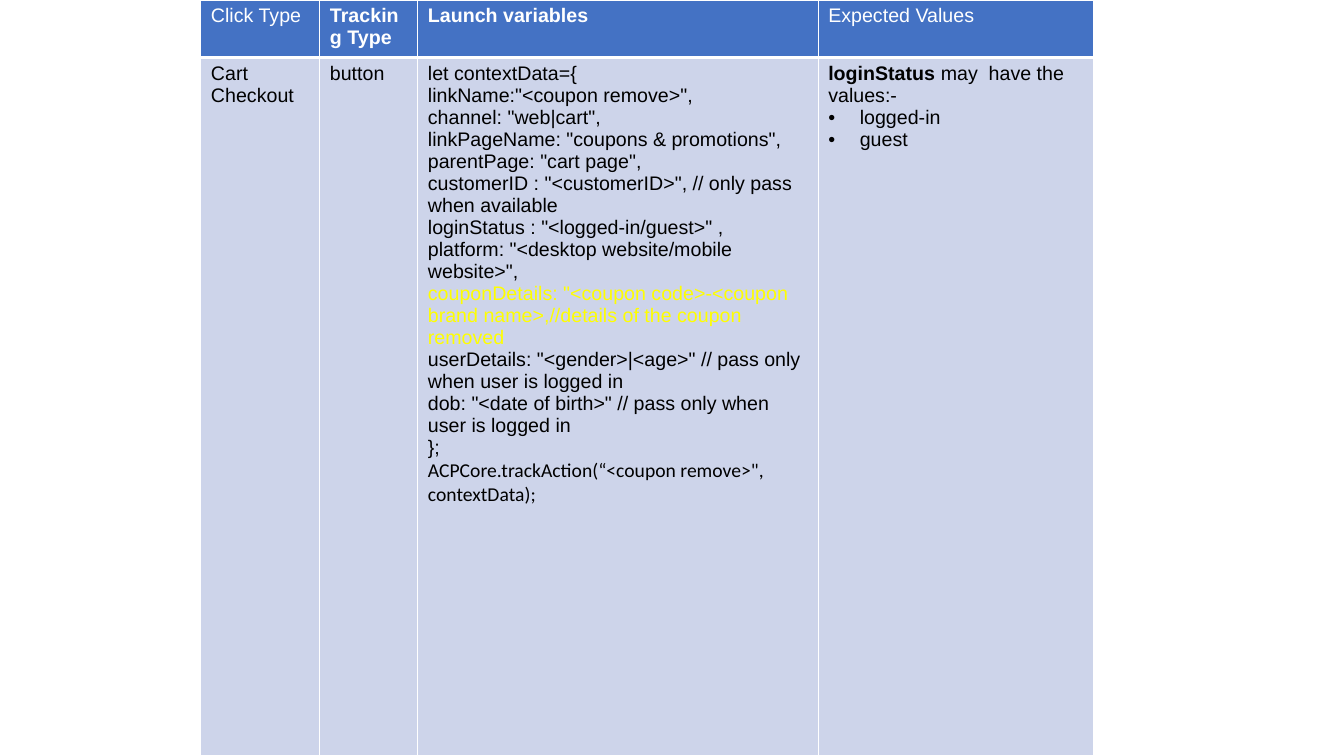
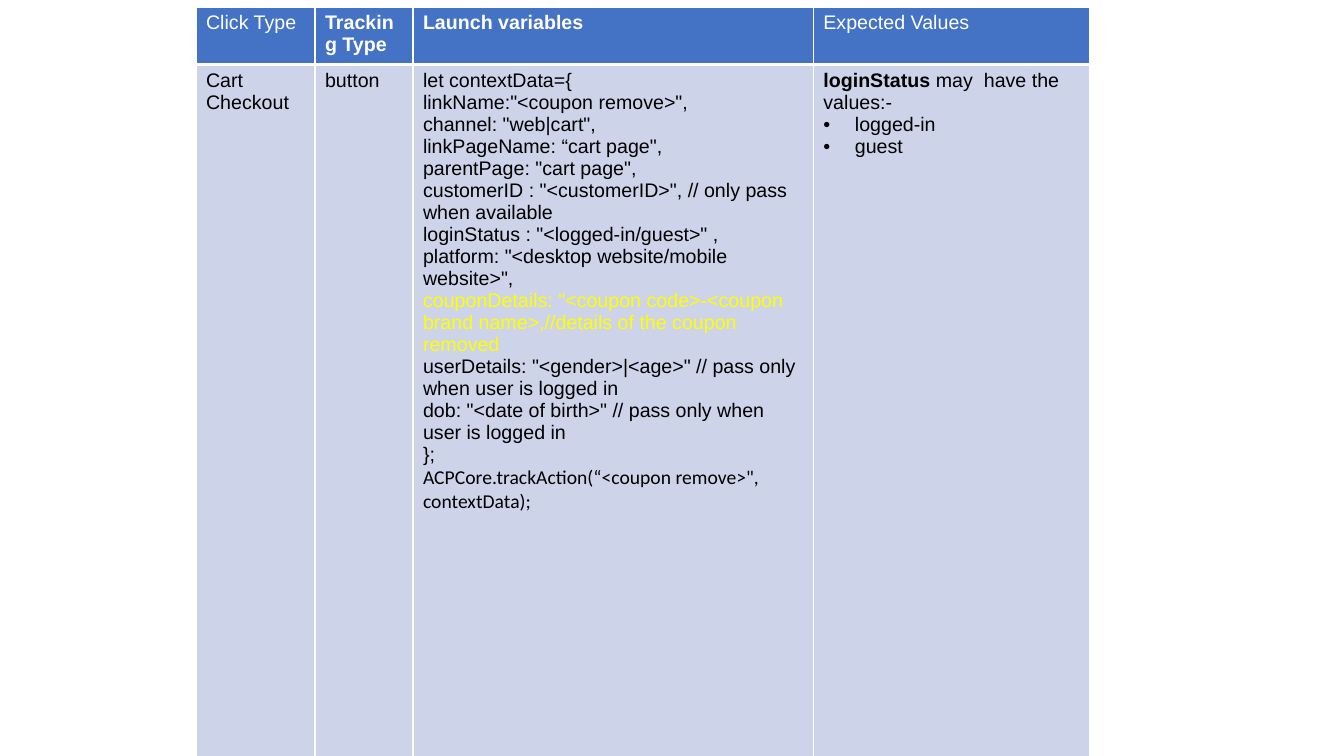
from copy import deepcopy

from lxml.etree import SubElement
from pptx import Presentation
from pptx.dml.color import RGBColor
from pptx.oxml.ns import qn
from pptx.util import Pt

SLIDE_SIZE = (960, 540)
COLUMN_WIDTHS = (85, 70, 286, 197)
ROW_HEIGHTS = (41, 499)
HEADER_FILL, BODY_FILL = "4472C4", "CDD4EA"
WHITE, BLACK, YELLOW = "FFFFFF", "000000", "FFFF00"
BODY_FONT, CODE_FONT, TEXT_SIZE = "Arial", "Calibri", 14
BULLET_INDENT = 22.5

HEADERS = (("Click Type", False), ("Tracking Type", True),
           ("Launch variables", True), ("Expected Values", False))


def color(hex_string):
    """Turn a hex string into a colour."""
    return RGBColor.from_string(hex_string)


def add_text(paragraph, text, ink=BLACK, bold=False, font=BODY_FONT):
    """Add styled runs, turning each newline into a line break of the same style."""
    run = None
    for line in text.split("\n"):
        if run is not None:
            paragraph.add_line_break()
            paragraph._p[-1].append(deepcopy(run._r.rPr))
        if not line:
            continue
        run = paragraph.add_run()
        run.text = line
        run.font.size = Pt(TEXT_SIZE)
        run.font.name = font
        run.font.bold = bold
        run.font.color.rgb = color(ink)


def add_bullet(paragraph):
    """Give a paragraph a hanging round bullet."""
    properties = paragraph._p.get_or_add_pPr()
    properties.set("marL", str(Pt(BULLET_INDENT)))
    properties.set("indent", str(-Pt(BULLET_INDENT)))
    bullet_color = SubElement(properties, qn("a:buClr"))
    SubElement(bullet_color, qn("a:srgbClr"), val=BLACK)
    SubElement(properties, qn("a:buFont"), typeface=BODY_FONT)
    SubElement(properties, qn("a:buChar"), char="•")


def style_cell(cell, fill, bottom_width):
    """Set the white borders, fill and insets of a cell."""
    properties = cell._tc.get_or_add_tcPr()
    for side, width in (("L", 1), ("R", 1), ("T", 1), ("B", bottom_width)):
        line = SubElement(properties, qn(f"a:ln{side}"), w=str(Pt(width)))
        SubElement(SubElement(line, qn("a:solidFill")), qn("a:srgbClr"), val=WHITE)
    cell.fill.solid()
    cell.fill.fore_color.rgb = color(fill)
    cell.margin_left = cell.margin_right = Pt(7.2)
    cell.margin_top = cell.margin_bottom = Pt(3.6)


def fill_cell(cell, paragraphs):
    """Write paragraphs, each a list of (text, style) runs, into a cell."""
    frame = cell.text_frame
    for index, runs in enumerate(paragraphs):
        paragraph = frame.add_paragraph() if index else frame.paragraphs[0]
        for text, style in runs:
            add_text(paragraph, text, **style)


def launch_variables(link_page):
    """Return the code paragraphs for a link page value, opening quote included."""
    return [
        [("let contextData={", {})],
        [('linkName:"<coupon remove>",', {})],
        [('channel: "web|cart",', {})],
        [(f'linkPageName: {link_page}",\nparentPage: "cart page",', {})],
        [('customerID : "<customerID>", // only pass when available', {})],
        [('loginStatus : "<logged-in/guest>" ,\n'
          'platform: "<desktop website/mobile website>",', {})],
        [('couponDetails: "<coupon code>-<coupon brand name>,'
          '//details of the coupon removed\n', {"ink": YELLOW}),
         ('userDetails: "<gender>|<age>" // pass only when user is logged in\n'
          'dob: "<date of birth>" // pass only when user is logged in', {})],
        [("};", {})],
        [('ACPCore.trackAction(“<coupon remove>", contextData);', {"font": CODE_FONT})],
    ]


def add_tracking_slide(presentation, left, top, link_page):
    """Add a slide holding one tracking table at the given place."""
    slide = presentation.slides.add_slide(presentation.slide_layouts[6])
    table = slide.shapes.add_table(
        len(ROW_HEIGHTS), len(COLUMN_WIDTHS), Pt(left), Pt(top),
        Pt(sum(COLUMN_WIDTHS)), Pt(sum(ROW_HEIGHTS))).table
    for column, width in zip(table.columns, COLUMN_WIDTHS):
        column.width = Pt(width)
    for row, height in zip(table.rows, ROW_HEIGHTS):
        row.height = Pt(height)

    expected_values = [
        [("loginStatus ", {"bold": True}), ("may  have the values:-", {})],
        [("logged-in", {})],
        [("guest", {})],
    ]
    body = ([[("Cart Checkout", {})]], [[("button", {})]],
            launch_variables(link_page), expected_values)
    for index, ((title, bold), content) in enumerate(zip(HEADERS, body)):
        header_cell, body_cell = table.cell(0, index), table.cell(1, index)
        style_cell(header_cell, HEADER_FILL, 3)
        fill_cell(header_cell, [[(title, {"ink": WHITE, "bold": bold})]])
        style_cell(body_cell, BODY_FILL, 1)
        fill_cell(body_cell, content)
    for paragraph in table.cell(1, 3).text_frame.paragraphs[1:]:
        add_bullet(paragraph)


def main():
    """Build and save the presentation."""
    presentation = Presentation()
    presentation.slide_width, presentation.slide_height = map(Pt, SLIDE_SIZE)
    add_tracking_slide(presentation, 143.5, 0, '"coupons & promotions')
    add_tracking_slide(presentation, 140, 5, "“cart page")
    presentation.save("out.pptx")


if __name__ == "__main__":
    main()
